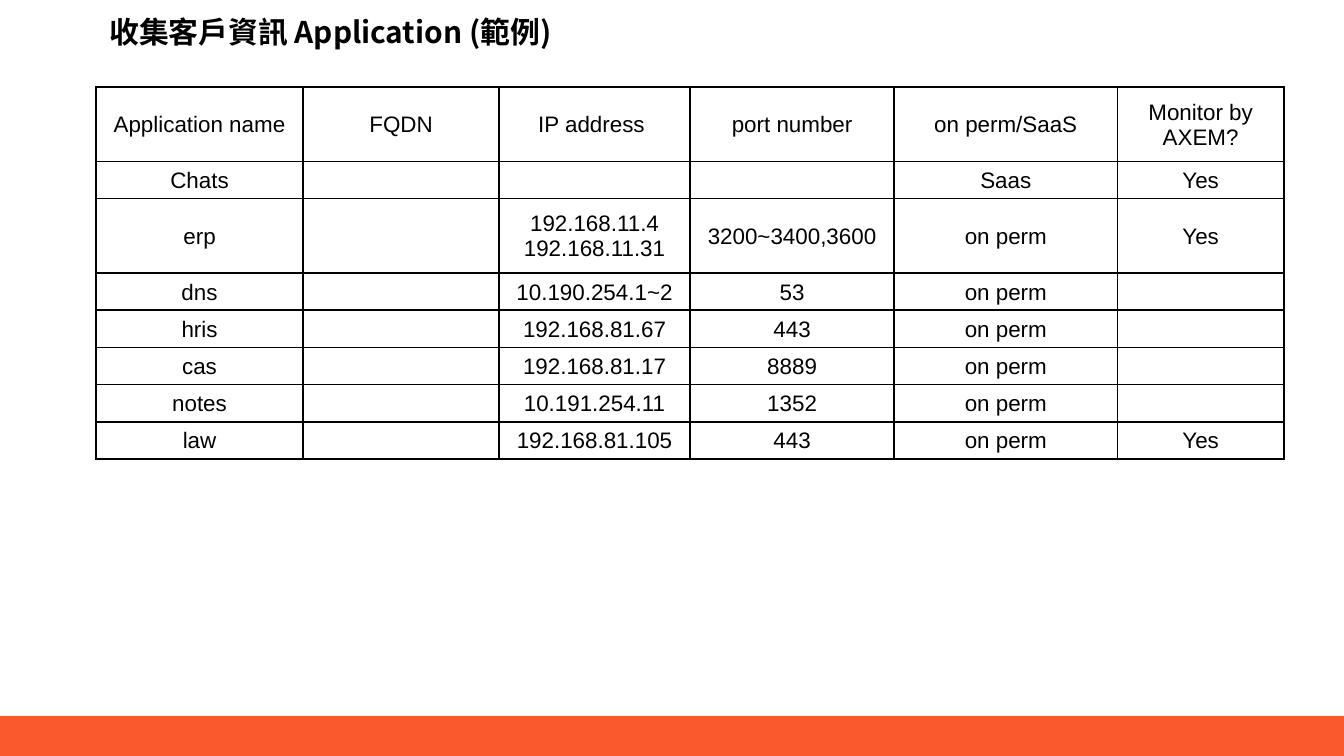
from lxml.etree import SubElement
from pptx import Presentation
from pptx.dml.color import RGBColor
from pptx.enum.shapes import MSO_SHAPE
from pptx.enum.text import MSO_ANCHOR, PP_ALIGN
from pptx.oxml.ns import qn
from pptx.util import Inches, Pt

WIDE = Inches(10)
HIGH = WIDE * 9 // 16
LEFT, TOP = 7.15, 11.5
HUES = {"ink": "000000", "bar": "FA582D"}
COLS = [1.54, 1.46, 1.42, 1.52, 1.66, 1.24]
SPANS = [2, 1, 2, 1, 1, 1, 1, 1]
DEPTH = Inches(2.77)
HEAD = {"name": "Noto Sans CJK SC", "size": Pt(16), "bold": True}
BODY = {"name": "Arial", "size": Pt(12), "bold": False}
CELL = {
    "margin_left": Inches(0.01),
    "margin_right": Inches(0.01),
    "margin_top": Inches(0.01),
    "margin_bottom": 0,
    "vertical_anchor": MSO_ANCHOR.MIDDLE,
}
BOX = {
    "margin_left": Inches(0.1),
    "margin_right": Inches(0.1),
    "margin_top": Inches(0.1),
    "margin_bottom": Inches(0.1),
    "vertical_anchor": MSO_ANCHOR.TOP,
    "word_wrap": True,
}
ROWS = [
    ["Application name", "FQDN", "IP address ", "port number", "on perm/SaaS", "Monitor by AXEM?"],
    ["Chats", "", "", "", "Saas", "Yes"],
    ["erp", "", "192.168.11.4\n192.168.11.31", "3200~3400,3600", "on perm", "Yes"],
    ["dns", "", "10.190.254.1~2", "53", "on perm", ""],
    ["hris", "", "192.168.81.67", "443", "on perm", ""],
    ["cas", "", "192.168.81.17", "8889", "on perm", ""],
    ["notes", "", "10.191.254.11", "1352", "on perm", ""],
    ["law", "", "192.168.81.105", "443", "on perm", "Yes"],
]


def apply(item, values):
    for key, value in values.items():
        setattr(item, key, value)


def place(*shares):
    return [round(share * side / 100) for share, side in zip(shares, (WIDE, HIGH) * 2)]


def write(para, text, style):
    para.text = text
    for run in para.runs:
        apply(run.font, style)
        run.font.color.rgb = RGBColor.from_string(HUES["ink"])
        SubElement(run.font._element, qn("a:ea"), typeface=style["name"])


def add_bar(slide):
    bar = slide.shapes.add_shape(MSO_SHAPE.RECTANGLE, *place(0, 94.7, 100, 5.3))
    bar.shadow.inherit = False
    bar.fill.solid()
    bar.fill.fore_color.rgb = RGBColor.from_string(HUES["bar"])
    bar.line.fill.background()


def add_title(slide, text):
    frame = slide.shapes.add_textbox(*place(LEFT, 0, 87.6, TOP)).text_frame
    apply(frame, BOX)
    write(frame.paragraphs[0], text, HEAD)


def add_edges(cell):
    props = cell._tc.get_or_add_tcPr()
    for spot, side in enumerate(("L", "R", "T", "B")):
        edge = props.makeelement(qn(f"a:ln{side}"), {"w": str(Pt(1))})
        fill = SubElement(edge, qn("a:solidFill"))
        SubElement(fill, qn("a:srgbClr"), val=HUES["ink"])
        props.insert(spot, edge)


def fill_cell(cell, text):
    apply(cell, CELL)
    para = cell.text_frame.paragraphs[0]
    para.alignment = PP_ALIGN.CENTER
    write(para, text, BODY)
    SubElement(para._p, qn("a:endParaRPr"), sz="1200")
    cell.fill.background()
    add_edges(cell)


def add_grid(slide):
    left, top = place(LEFT, TOP)
    table = slide.shapes.add_table(
        len(ROWS), len(COLS), left, top, Inches(sum(COLS)), DEPTH
    ).table
    apply(table, {"first_row": False, "horz_banding": False})
    for col, width in zip(table.columns, COLS):
        col.width = Inches(width)
    for row, span, texts in zip(table.rows, SPANS, ROWS):
        row.height = DEPTH * span // sum(SPANS)
        for cell, text in zip(row.cells, texts):
            fill_cell(cell, text)


def main():
    deck = Presentation()
    apply(deck, {"slide_width": WIDE, "slide_height": HIGH})
    slide = deck.slides.add_slide(deck.slide_layouts[6])
    add_bar(slide)
    add_title(slide, "收集客戶資訊 Application (範例)")
    add_grid(slide)
    deck.save("out.pptx")


if __name__ == "__main__":
    main()
